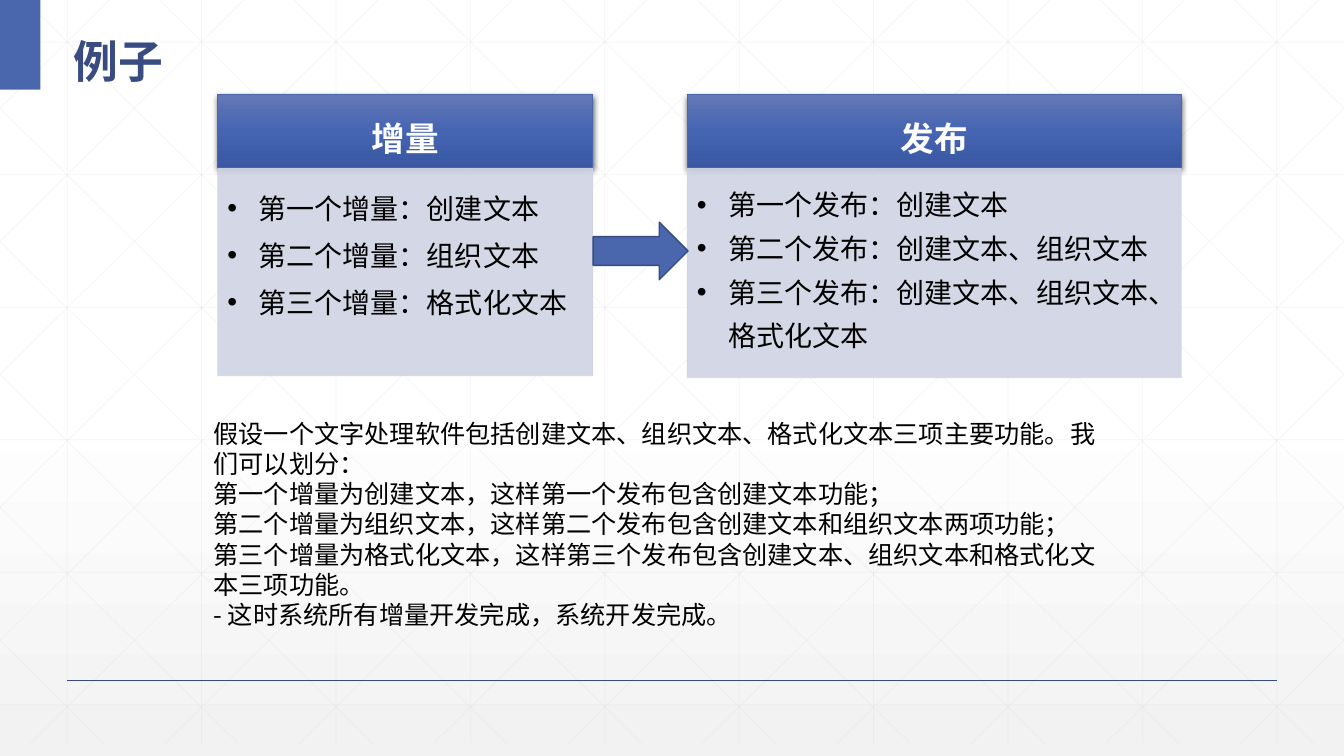
from lxml import etree
from pptx import Presentation
from pptx.dml.color import RGBColor
from pptx.enum import shapes, text
from pptx.oxml import parse_xml
from pptx.oxml.ns import nsdecls, qn
from pptx.util import Cm, Pt

COLORS = {
    "white": "FFFFFF", "pale": "F2F2F2", "grid": "D9D9D9",
    "navy": "384C81", "blue": "4A66AC", "arrow_edge": "374B7F",
    "header_top": "6378B7", "header_middle": "4564B1", "header_bottom": "3957A2",
    "panel": "D0D3E3", "black": "000000",
}
RGB = {name: RGBColor.from_string(value) for name, value in COLORS.items()}
CJK = "Noto Sans CJK SC"
LATIN = "Arial"


def set_gradient(fill, element, stops):
    """Fill from top to bottom with (percent, colour name) stops."""
    fill.gradient()
    fill.gradient_angle = 270
    stop_list = element.find(".//" + qn("a:gsLst"))
    for old_stop in list(stop_list):
        stop_list.remove(old_stop)
    for percent, color in stops:
        stop = etree.SubElement(stop_list, qn("a:gs"), pos=str(percent * 1000))
        etree.SubElement(stop, qn("a:srgbClr"), val=COLORS[color])


def write(frame, paragraphs, size, color, bold=False, spacing=1.0, bullet=False):
    """Fill a text frame with paragraphs, each a list of (text, font) runs."""
    frame.word_wrap = True
    for number, runs in enumerate(paragraphs):
        paragraph = frame.add_paragraph() if number else frame.paragraphs[0]
        paragraph.line_spacing = spacing
        paragraph.alignment = text.PP_ALIGN.LEFT
        if bullet:
            properties = paragraph._p.get_or_add_pPr()
            properties.set("marL", str(Cm(0.79)))
            properties.set("indent", str(-Cm(0.79)))
            etree.SubElement(properties, qn("a:buFont"), typeface=LATIN)
            etree.SubElement(properties, qn("a:buChar"), char="•")
        for words, font in runs:
            run = paragraph.add_run()
            run.text = words
            run.font.size = Pt(size)
            run.font.bold = bold
            run.font.color.rgb = RGB[color]
            run.font.name = font
            etree.SubElement(run.font._element, qn("a:ea"), typeface=CJK)


presentation = Presentation()
WIDTH, HEIGHT = 33.87, 19.05
presentation.slide_width, presentation.slide_height = Cm(WIDTH), Cm(HEIGHT)
slide = presentation.slides.add_slide(presentation.slide_layouts[6])
set_gradient(slide.background.fill, slide.element,
             [(0, "white"), (53, "white"), (100, "pale")])

# Background grid: verticals, horizontals and mirrored diagonals
STEP = WIDTH / 10
GRID_BOTTOM = 18.73
SLOPE = 0.99
lines = []
for column in range(10):
    x = STEP * (column + 0.5)
    lines.append((x, 0, x, GRID_BOTTOM, "grid", 0.5))
for row in range(6):
    y = 1.06 + 3.34 * row
    lines.append((0, y, WIDTH, y, "grid", 0.5))
for column in range(-5, 10):
    start = 0.63 + STEP * column
    x1, x2 = max(start, 0), min(start + GRID_BOTTOM / SLOPE, WIDTH)
    y1, y2 = (x1 - start) * SLOPE, (x2 - start) * SLOPE
    lines.append((x1, y1, x2, y2, "grid", 0.5))
    lines.append((WIDTH - x1, y1, WIDTH - x2, y2, "grid", 0.5))
lines.append((1.69, 17.15, WIDTH - 1.69, 17.15, "navy", 1))

translucent = []
for x1, y1, x2, y2, color, weight in lines:
    line = slide.shapes.add_connector(
        shapes.MSO_CONNECTOR.STRAIGHT, Cm(x1), Cm(y1), Cm(x2), Cm(y2))
    line.line.color.rgb = RGB[color]
    line.line.width = Pt(weight)
    etree.SubElement(line._element.spPr, qn("a:effectLst"))
    if color == "grid":
        translucent.append((line, 25))

# Title
corner = slide.shapes.add_shape(
    shapes.MSO_SHAPE.RECTANGLE, 0, 0, Cm(1.02), Cm(2.26))
corner.shadow.inherit = False
corner.fill.solid()
corner.fill.fore_color.rgb = RGB["blue"]
corner.line.fill.background()

title = slide.shapes.add_textbox(Cm(1.6), Cm(0.41), Cm(29.26), Cm(1.85))
title.text_frame.vertical_anchor = text.MSO_ANCHOR.MIDDLE
write(title.text_frame, [[("例子", CJK)]], 32, "navy", True, 1.3)

# Two headed panels
panels = [
    (5.49, 9.45, 5.23, 1.4, "增量",
     ["第一个增量：创建文本", "第二个增量：组织文本", "第三个增量：格式化文本"]),
    (17.32, 12.45, 5.28, 1.3, "发布",
     ["第一个发布：创建文本", "第二个发布：创建文本、组织文本",
      "第三个发布：创建文本、组织文本、格式化文本"]),
]
for left, width, height, spacing, heading, items in panels:
    header = slide.shapes.add_shape(
        shapes.MSO_SHAPE.RECTANGLE, Cm(left), Cm(2.39), Cm(width), Cm(1.85))
    set_gradient(header.fill, header._element.spPr,
                 [(0, "header_top"), (50, "header_middle"), (100, "header_bottom")])
    header.line.color.rgb = RGB["blue"]
    header.line.width = Pt(0.5)
    header._element.spPr.append(parse_xml(
        f'<a:effectLst {nsdecls("a")}><a:outerShdw blurRad="{Pt(4.5)}" '
        f'dist="{Pt(1.5)}" dir="5400000" rotWithShape="0"><a:srgbClr '
        f'val="{COLORS["black"]}"><a:alpha val="63000"/></a:srgbClr>'
        '</a:outerShdw></a:effectLst>'))
    frame = header.text_frame
    frame.vertical_anchor = text.MSO_ANCHOR.MIDDLE
    frame.margin_left = frame.margin_right = Cm(0.48)
    frame.margin_top = frame.margin_bottom = Cm(0.28)
    write(frame, [[(heading, LATIN)]], 24, "white", True, 1.3)
    frame.paragraphs[0].alignment = text.PP_ALIGN.CENTER

    panel = slide.shapes.add_shape(
        shapes.MSO_SHAPE.RECTANGLE, Cm(left), Cm(4.24), Cm(width), Cm(height))
    panel.shadow.inherit = False
    panel.fill.solid()
    panel.fill.fore_color.rgb = RGB["panel"]
    panel.line.color.rgb = RGB["panel"]
    panel.line.width = Pt(0.5)
    translucent.append((panel, 90))
    frame = panel.text_frame
    frame.vertical_anchor = text.MSO_ANCHOR.TOP
    frame.margin_left = frame.margin_top = Cm(0.24)
    frame.margin_right, frame.margin_bottom = Cm(0.32), Cm(0.36)
    write(frame, [[(item, CJK)] for item in items], 20, "black",
          spacing=spacing, bullet=True)

for shape, percent in translucent:
    for color in shape._element.spPr.iter(qn("a:srgbClr")):
        etree.SubElement(color, qn("a:alpha"), val=str(percent * 1000))

arrow = slide.shapes.add_shape(
    shapes.MSO_SHAPE.RIGHT_ARROW, Cm(14.95), Cm(5.6), Cm(2.39), Cm(1.45))
arrow.shadow.inherit = False
arrow.fill.solid()
arrow.fill.fore_color.rgb = RGB["blue"]
arrow.line.color.rgb = RGB["arrow_edge"]
arrow.line.width = Pt(1)

# Explanation
explanation = slide.shapes.add_textbox(Cm(5.13), Cm(10.41), Cm(23.04), Cm(5.64))
write(explanation.text_frame, [
    [("假设一个", LATIN),
     ("文字处理软件包括创建文本、组织文本、格式化文本三项主要功能。我们可以划分：", CJK)],
    [("第一个增量为创建文本，这样第一个发布包含创建文本功能；", CJK)],
    [("第二个增量为组织文本，这样第二个发布包含创建文本和组织文本两项功能；", CJK)],
    [("第三个增量为格式化文本，这样第三个发布包含创建文本、组织文本和格式化文本三项功能。", CJK)],
    [("- 这时系统所有增量开发完成，系统开发完成。", CJK)],
], 18, "black")

presentation.save("out.pptx")
